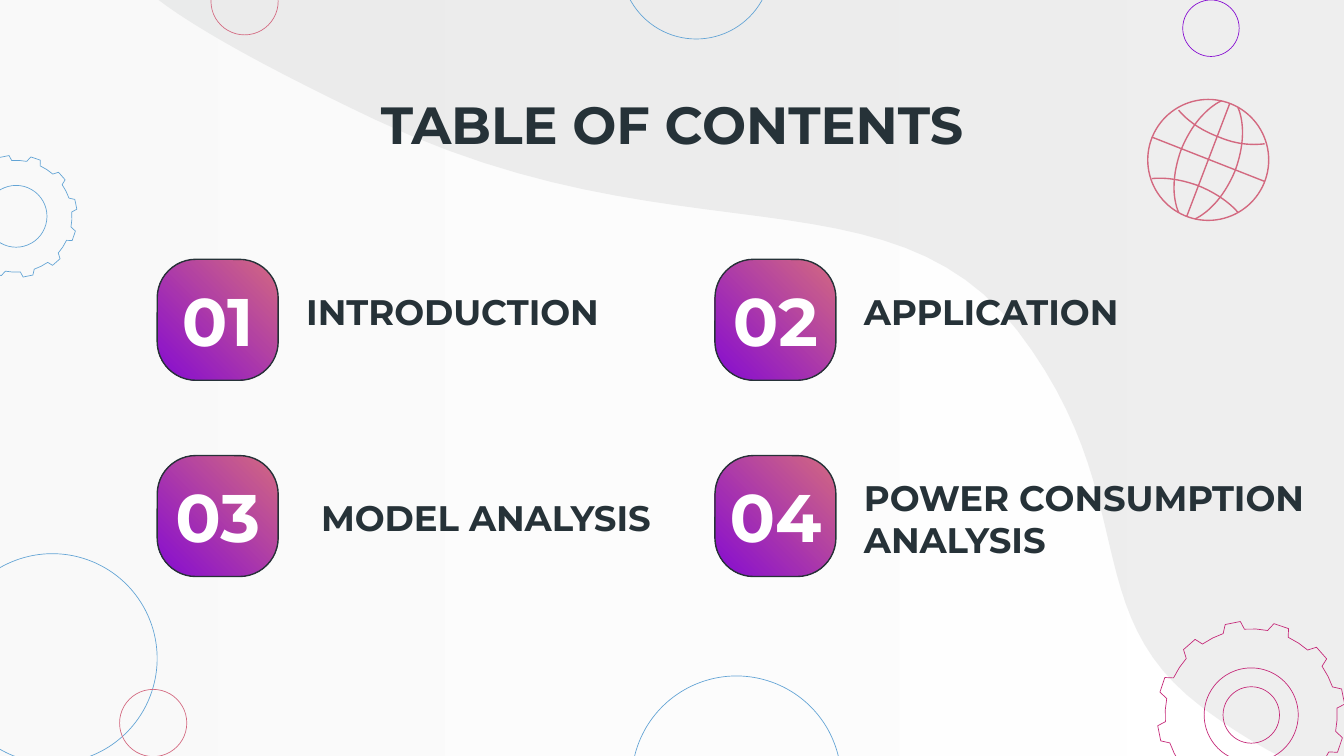
from math import cos, sin, radians
from pptx import Presentation
from pptx.dml.color import RGBColor
from pptx.enum.shapes import MSO_CONNECTOR, MSO_SHAPE
from pptx.enum.text import MSO_ANCHOR, MSO_AUTO_SIZE, PP_ALIGN
from pptx.oxml.ns import qn
from pptx.util import Inches, Pt
from lxml.etree import SubElement

DARK, WHITE, PINK, PURPLE, BLUE, ROSE = (
    "263238", "FFFFFF", "D36980", "860CD1", "63A4D5", "C52878")


def tint(fill, *hues, angle=0):
    if not hues:
        fill.background()
    elif len(hues) == 1:
        fill.solid()
        fill.fore_color.rgb = RGBColor.from_string(hues[0])
    else:
        fill.gradient()
        fill.gradient_angle = angle
        for stop, hue in zip(fill.gradient_stops, hues):
            stop.color.rgb = RGBColor.from_string(hue)


def write(shape, text, size=19, color=DARK, align=PP_ALIGN.LEFT, inset=0.1):
    frame = shape.text_frame
    frame.text = text
    frame.word_wrap = True
    frame.auto_size = MSO_AUTO_SIZE.NONE
    frame.vertical_anchor = MSO_ANCHOR.MIDDLE
    frame.margin_left = frame.margin_right = Inches(inset)
    frame.margin_top = frame.margin_bottom = 0
    line = frame.paragraphs[0]
    line.alignment = align
    font = line.runs[0].font
    font.name, font.size, font.bold = "Montserrat", Pt(size), True
    tint(font.fill, color)


deck = Presentation()
deck.slide_width = Inches(10)
deck.slide_height = Inches(10) * 9 // 16
slide = deck.slides.add_slide(deck.slide_layouts[5])
shapes = slide.shapes

back = shapes.add_shape(MSO_SHAPE.RECTANGLE, Inches(-0.07), Inches(-0.07),
                        Inches(10.14), Inches(5.77))
back.shadow.inherit = False
tint(back.fill, WHITE, "F3F3F3", angle=180)
tint(back.line.fill)

wave = [(10.28, -0.25), (10.28, 5.88), (10.13, 5.88),
        (9.81, 5.78, 9.39, 5.6, 8.94, 5.26),
        (8, 4.55, 8.51, 3.69, 7.57, 2.46),
        (6.62, 1.23, 5.02, 1.95, 2.79, 0.89),
        (1.76, 0.4, 1.28, 0.1, 1.07, -0.09), (1.07, -0.25)]
arcs = [
    [(8.77, 1.58), (8.77, 1.58, 8.68, 1.41, 8.79, 1.11),
     (8.91, 0.82, 9.09, 0.75, 9.09, 0.75)],
    [(8.89, 1.63), (8.89, 1.63, 9.07, 1.56, 9.19, 1.27),
     (9.3, 0.97, 9.21, 0.8, 9.21, 0.8)],
    [(9.21, 1.58), (9.16, 1.52, 9.06, 1.44, 8.91, 1.38),
     (8.77, 1.33, 8.65, 1.32, 8.57, 1.33)],
    [(8.77, 0.82), (8.82, 0.88, 8.91, 0.96, 9.07, 1.02),
     (9.21, 1.08, 9.33, 1.08, 9.41, 1.07)],
]
tooth = [(4.5, 0.64), (6.6, 0.7), (16, 0.7), (19, 0.64), (26.5, 0.64)]
gears = []
for x, y, scale, hue in [(0.12, 1.61, 0.65, BLUE), (9.31, 5.32, 1, ROSE)]:
    rim = [(x + scale * r * cos(radians(30 * k + a)),
            y - scale * r * sin(radians(30 * k + a)))
           for k in range(12) for a, r in tooth]
    gears.append((rim, True, [], [hue], 0.36))

plans = [(wave, True, ["D6D7D7"], [], 0), *gears]
plans += [(arc, False, [], [PINK], 0.75) for arc in arcs]
forms = []
for route, closed, fill, hue, width in plans:
    dots = []
    for step in route:
        if len(step) == 2:
            dots.append(step)
            continue
        a, b, c, d = dots[-1], step[:2], step[2:4], step[4:]
        for t in [n / 24 for n in range(1, 25)]:
            u = 1 - t
            dots.append(tuple(
                u**3 * a[i] + 3 * u * u * t * b[i] + 3 * u * t * t * c[i] + t**3 * d[i]
                for i in (0, 1)))
    dots = [(Inches(px), Inches(py)) for px, py in dots]
    pen = shapes.build_freeform(*dots[0])
    pen.add_line_segments(dots[1:], close=closed)
    form = pen.convert_to_shape()
    form.shadow.inherit = False
    tint(form.fill, *fill)
    form.line.width = Pt(width)
    tint(form.line.fill, *hue)
    forms.append(form)

for shape in (back, forms[0]):
    for mark in shape._element.spPr.iter(qn("a:srgbClr")):
        SubElement(mark, qn("a:alpha"), val="41000")

rings = [
    (0.39, 4.9, 0.78, BLUE, 0.36), (9.01, 0.21, 0.21, PURPLE, 0.36),
    (1.82, 0.01, 0.25, PINK, 0.36), (5.18, -0.27, 0.56, BLUE, 0.36),
    (5.48, 5.81, 0.78, BLUE, 0.36), (1.14, 5.38, 0.25, PINK, 0.36),
    (0.12, 1.61, 0.23, BLUE, 0.36), (9.31, 5.32, 0.35, ROSE, 0.36),
    (9.31, 5.32, 0.21, ROSE, 0.36), (8.99, 1.19, 0.45, PINK, 0.75),
]
for x, y, r, hue, width in rings:
    ring = shapes.add_shape(MSO_SHAPE.OVAL, Inches(x - r), Inches(y - r),
                            Inches(2 * r), Inches(2 * r))
    ring.shadow.inherit = False
    tint(ring.fill)
    tint(ring.line.fill, hue)
    ring.line.width = Pt(width)

for ends in [(9.15, 0.77, 8.83, 1.61), (8.57, 1.02, 9.41, 1.35)]:
    axis = shapes.add_connector(MSO_CONNECTOR.STRAIGHT, *map(Inches, ends))
    tint(axis.line.fill, PINK)
    axis.line.width = Pt(0.75)
    SubElement(axis._element.spPr, qn("a:effectLst"))

items = [
    ("INTRODUCTION", 2.18, 2.08, 2.82, 0.48),
    ("APPLICATION", 6.33, 2.08, 2.82, 0.48),
    ("MODEL ANALYSIS", 2.29, 3.61, 2.82, 0.48),
    ("POWER CONSUMPTION ANALYSIS", 6.33, 3.15, 3.67, 1.41),
]
for n, (label, *box) in enumerate(items):
    x, y = 1.17 + n % 2 * 4.15, 1.93 + n // 2 * 1.46
    card = shapes.add_shape(MSO_SHAPE.ROUNDED_RECTANGLE, Inches(x), Inches(y),
                            Inches(0.9), Inches(0.9))
    card.adjustments[0] = 0.32
    card.shadow.inherit = False
    tint(card.fill, PINK, PURPLE, angle=225)
    tint(card.line.fill, DARK)
    card.line.width = Pt(0.75)
    digits = shapes.add_textbox(Inches(x), Inches(y + 0.1), Inches(0.9), Inches(0.7))
    write(digits, f"{n + 1:02}", size=36, color=WHITE, align=PP_ALIGN.CENTER, inset=0)
    write(shapes.add_textbox(*map(Inches, box)), label)

title = shapes.title
title.left, title.top = Inches(0.78), Inches(0.72)
title.width, title.height = Inches(8.44), Inches(0.4)
write(title, "TABLE OF CONTENTS", size=28, align=PP_ALIGN.CENTER)
shapes._spTree.append(title._element)

deck.save("out.pptx")
